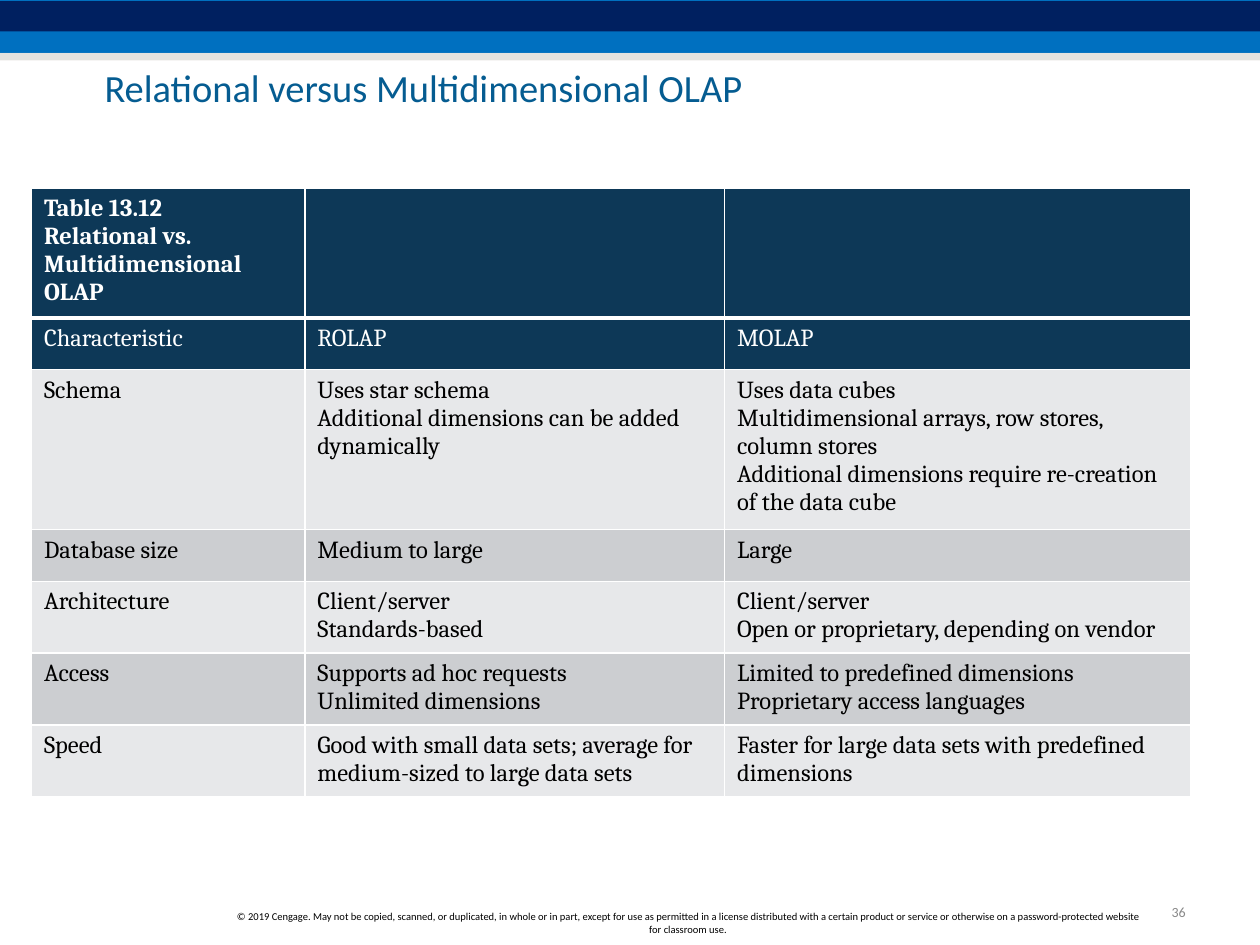
from dataclasses import dataclass

from lxml import etree
from pptx import Presentation
from pptx import util as u
from pptx.dml import color
from pptx.enum import shapes, text
from pptx.oxml import ns


@dataclass(frozen=True)
class Theme:
    """Colours, fonts and type sizes of the slide."""
    blue: str = "0070C0"
    navy: str = "002060"
    stone: str = "CCC9C1"
    title: str = "055C91"
    header: str = "0D3857"
    light: str = "E7E8EA"
    dark: str = "CCCED1"
    white: str = "FFFFFF"
    black: str = "000000"
    grey: str = "898989"
    sans: str = "Calibri"
    serif: str = "Cambria"
    title_size: float = 22
    table_size: float = 14
    number_size: float = 8
    notice_size: float = 6


THEME = Theme()
COLUMNS = [2.17, 3.33, 3.7]
ROWS = [0.8, 0.41, 1.27, 0.41, 0.57, 0.57, 0.57]
CELLS = [
    ["Table 13.12\nRelational vs. Multidimensional OLAP", "", ""],
    ["Characteristic", "ROLAP", "MOLAP"],
    ["Schema",
     "Uses star schema\nAdditional dimensions can be added dynamically",
     "Uses data cubes\nMultidimensional arrays, row stores, column stores\n"
     "Additional dimensions require re-creation of the data cube"],
    ["Database size", "Medium to large", "Large"],
    ["Architecture", "Client/server\nStandards-based",
     "Client/server\nOpen or proprietary, depending on vendor"],
    ["Access", "Supports ad hoc requests\nUnlimited dimensions",
     "Limited to predefined dimensions\nProprietary access languages"],
    ["Speed",
     "Good with small data sets; average for medium-sized to large data sets",
     "Faster for large data sets with predefined dimensions"],
]
NOTICE = (
    "© 2019 Cengage. May not be copied, scanned, or duplicated, in whole or in part, "
    "except for use as permitted in a license distributed with a certain product or "
    "service or otherwise on a password-protected website for classroom use."
)


def rgb(value):
    """Turn a hex string into a colour."""
    return color.RGBColor.from_string(value)


def set_all(target, values):
    """Set each named attribute of the target."""
    for name, value in values.items():
        setattr(target, name, value)


def style_font(font, name, size, tint, bold=False):
    """Apply typeface, size, weight and colour to a font."""
    set_all(font, {"name": name, "size": u.Pt(size), "bold": bold})
    font.color.rgb = rgb(tint)


def add_band(page, bounds, tint, opacity=100):
    """Draw one plain stripe, translucent when opacity is below 100."""
    band = page.shapes.add_shape(shapes.MSO_SHAPE.RECTANGLE, *map(u.Inches, bounds))
    band.shadow.inherit = False
    band.line.fill.background()
    band.fill.solid()
    band.fill.fore_color.rgb = rgb(tint)
    if opacity < 100:
        shade = band.fill._xPr.find(".//" + ns.qn("a:srgbClr"))
        etree.SubElement(shade, ns.qn("a:alpha"), val=str(opacity * 1000))


def add_banner(page, bounds):
    """Draw the three stripes across the top of the slide."""
    left, top, width, height = bounds
    add_band(page, (left, top, width, 0.42), THEME.blue)
    add_band(page, (left, top + 0.01, width, 0.24), THEME.navy)
    add_band(page, (left, top + 0.42, width, height - 0.42), THEME.stone, 50)


def add_label(page, bounds, words, size, tint, frame_values=None, para_values=None):
    """Place one vertically centred paragraph of sans text."""
    box = page.shapes.add_textbox(*map(u.Inches, bounds))
    frame = box.text_frame
    set_all(frame, {"word_wrap": True, "vertical_anchor": text.MSO_ANCHOR.MIDDLE,
                    **(frame_values or {})})
    para = frame.paragraphs[0]
    set_all(para, para_values or {})
    span = para.add_run()
    span.text = words
    style_font(span.font, THEME.sans, size, tint)


def add_title(page, bounds):
    """Place the slide title without inner margins."""
    margins = {f"margin_{side}": 0 for side in ("left", "top", "right", "bottom")}
    add_label(page, bounds, "Relational versus Multidimensional OLAP",
              THEME.title_size, THEME.title, margins, {"line_spacing": 0.85})


def add_border(cell, side, points):
    """Draw a white border on one side of a cell."""
    line = etree.SubElement(cell._tc.get_or_add_tcPr(), ns.qn("a:ln" + side),
                            w=str(u.Pt(points)))
    fill = etree.SubElement(line, ns.qn("a:solidFill"))
    etree.SubElement(fill, ns.qn("a:srgbClr"), val=THEME.white)


def fill_cell(cell, words, row):
    """Write and style one cell according to its row."""
    for side in "LRTB":
        below_header = (row, side) in ((0, "B"), (1, "T"))
        add_border(cell, side, 3 if below_header else 1)
    is_header = row < 2
    cell.fill.solid()
    cell.fill.fore_color.rgb = rgb(
        THEME.header if is_header else (THEME.light, THEME.dark)[row % 2])
    cell.text_frame.text = words
    for para in cell.text_frame.paragraphs:
        for font in [para.font, *(span.font for span in para.runs)]:
            style_font(font, THEME.serif, THEME.table_size,
                       THEME.white if is_header else THEME.black, row == 0)


def add_comparison(page, bounds):
    """Build the table that compares ROLAP with MOLAP."""
    frame = page.shapes.add_table(len(ROWS), len(COLUMNS), *map(u.Inches, bounds))
    table = frame.table
    for column, width in zip(table.columns, COLUMNS):
        column.width = u.Inches(width)
    for row, height in enumerate(ROWS):
        table.rows[row].height = u.Inches(height)
        for column, words in enumerate(CELLS[row]):
            fill_cell(table.cell(row, column), words, row)


def add_footer(page, bounds):
    """Place the copyright notice and the slide number."""
    left, top, width, height = bounds
    add_label(page, (left + 7.42, top, width - 7.42, 0.24), "36", THEME.number_size,
              THEME.grey, {"word_wrap": False}, {"alignment": text.PP_ALIGN.RIGHT})
    add_label(page, (left, top + 0.07, 7.42, height - 0.07), NOTICE,
              THEME.notice_size, THEME.black, None,
              {"alignment": text.PP_ALIGN.CENTER})


def main():
    """Build the slide and save the deck."""
    deck = Presentation()
    set_all(deck, {"slide_width": u.Inches(10), "slide_height": u.Inches(7.5)})
    page = deck.slides.add_slide(deck.slide_layouts[6])
    add_banner(page, (0, 0, 10, 0.48))
    add_title(page, (0.83, 0.56, 8.78, 0.32))
    add_comparison(page, (0.25, 1.49, sum(COLUMNS), sum(ROWS)))
    add_footer(page, (1.75, 7.12, 7.76, 0.34))
    deck.save("out.pptx")


if __name__ == "__main__":
    main()
